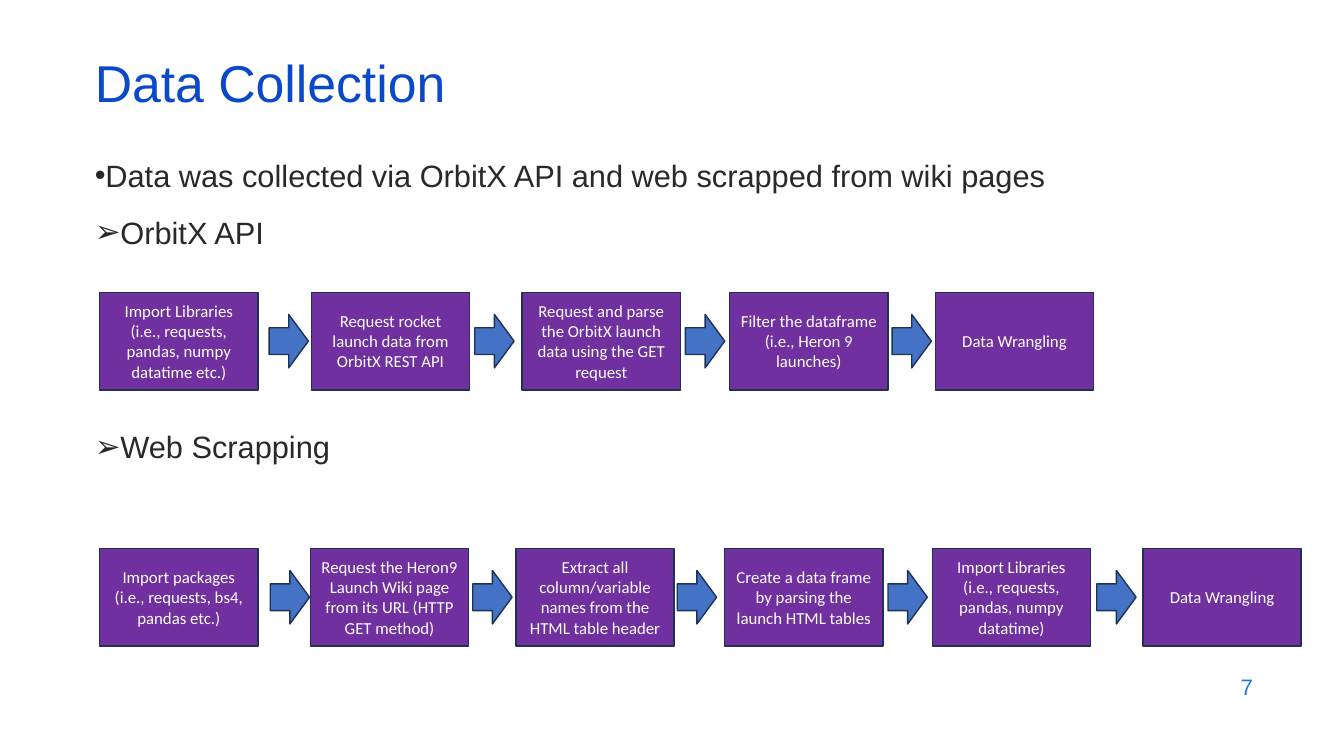
from pptx import Presentation
from pptx.dml.color import RGBColor
from pptx.enum.shapes import MSO_SHAPE
from pptx.enum.text import MSO_ANCHOR, MSO_AUTO_SIZE, PP_ALIGN
from pptx.oxml.ns import qn
from pptx.util import Pt
from lxml import etree

RECT, ARROW = MSO_SHAPE.RECTANGLE, MSO_SHAPE.RIGHT_ARROW
MIDDLE, TOP = MSO_ANCHOR.MIDDLE, MSO_ANCHOR.TOP
LEFT, CENTER, RIGHT = PP_ALIGN.LEFT, PP_ALIGN.CENTER, PP_ALIGN.RIGHT
NO_FIT = MSO_AUTO_SIZE.NONE


def style(para, face, size, color, align):
    para.alignment = align
    para.font.name = face
    para.font.size = Pt(size)
    para.font.color.rgb = RGBColor.from_string(color)


def add_block(kind, left, top, width, height, fill):
    block = slide.shapes.add_shape(kind, Pt(left), Pt(top), Pt(width), Pt(height))
    block.shadow.inherit = False
    block.fill.solid()
    block.fill.fore_color.rgb = RGBColor.from_string(fill)
    block.line.color.rgb = RGBColor.from_string("1E3256")
    block.line.width = Pt(1)
    return block


deck = Presentation()
deck.slide_width, deck.slide_height = Pt(960), Pt(540)
slide = deck.slides.add_slide(deck.slide_layouts[1])

# Title
title = slide.shapes.title
title.left, title.top, title.width, title.height = Pt(60.5), Pt(42.5), Pt(828), Pt(43)
frame = title.text_frame
frame.text = "Data Collection"
frame.auto_size = NO_FIT
frame.vertical_anchor = MIDDLE
frame.paragraphs[0].line_spacing = 0.7
style(frame.paragraphs[0], "Arial", 37, "0B49CB", LEFT)

# Bulleted headings: text, bullet, indent, space before
heads = [
    ("Data was collected via OrbitX API and web scrapped from wiki pages", "•", 0, 0),
    ("OrbitX API", "➢", 18, 14),
    ("Web Scrapping", "➢", 18, 127),
]
body = slide.placeholders[1]
body.left, body.top, body.width, body.height = Pt(60.5), Pt(108.3), Pt(886), Pt(378)
frame = body.text_frame
frame.text = "\n".join(head[0] for head in heads)
frame.auto_size = NO_FIT
frame.vertical_anchor = TOP
for para, (_, mark, indent, gap) in zip(frame.paragraphs, heads):
    props = para._p.get_or_add_pPr()
    props.set("marL", str(Pt(indent)))
    props.set("indent", str(-Pt(indent)))
    etree.SubElement(props, qn("a:buFont")).set("typeface", "Arial")
    etree.SubElement(props, qn("a:buChar")).set("char", mark)
    para.space_before = Pt(gap)
    style(para, "Arial", 22, "292929", LEFT)

# Flow rows: top, steps with their left edges, left edges of the arrows
flows = [
    (208.8, [
        (71.3, "Import Libraries (i.e., requests, pandas, numpy datatime etc.)"),
        (222.5, "Request rocket launch data from OrbitX REST API"),
        (373, "Request and parse the OrbitX launch data using the GET request"),
        (521.3, "Filter the dataframe (i.e., Heron 9 launches)"),
        (668.2, "Data Wrangling"),
    ], [192.2, 339.1, 489.6, 637.2]),
    (391.7, [
        (71.3, "Import packages (i.e., requests, bs4, pandas etc.)"),
        (221.8, "Request the Heron9 Launch Wiki page from its URL (HTTP GET method)"),
        (368.6, "Extract all column/variable names from the HTML table header"),
        (517.7, "Create a data frame by parsing the launch HTML tables"),
        (666, "Import Libraries (i.e., requests, pandas, numpy datatime)"),
        (816.5, "Data Wrangling"),
    ], [193, 337.7, 483.8, 634.3, 783.4]),
]
for top, steps, arrows in flows:
    for left, text in steps:
        step = add_block(RECT, left, top, 113, 69.8, "7030A0")
        frame = step.text_frame
        frame.text = text
        frame.word_wrap = True
        frame.vertical_anchor = MIDDLE
        style(frame.paragraphs[0], "Calibri", 12, "FFFFFF", CENTER)
    for left in arrows:
        add_block(ARROW, left, top + 15.8, 28.1, 38.2, "4472C4")

# Slide number
number = slide.shapes.add_textbox(Pt(686.2), Pt(474.5), Pt(216), Pt(31.7))
frame = number.text_frame
frame.text = "7"
frame.word_wrap = True
frame.vertical_anchor = MIDDLE
style(frame.paragraphs[0], "Arial", 16, "1C7DDB", RIGHT)

deck.save("out.pptx")
